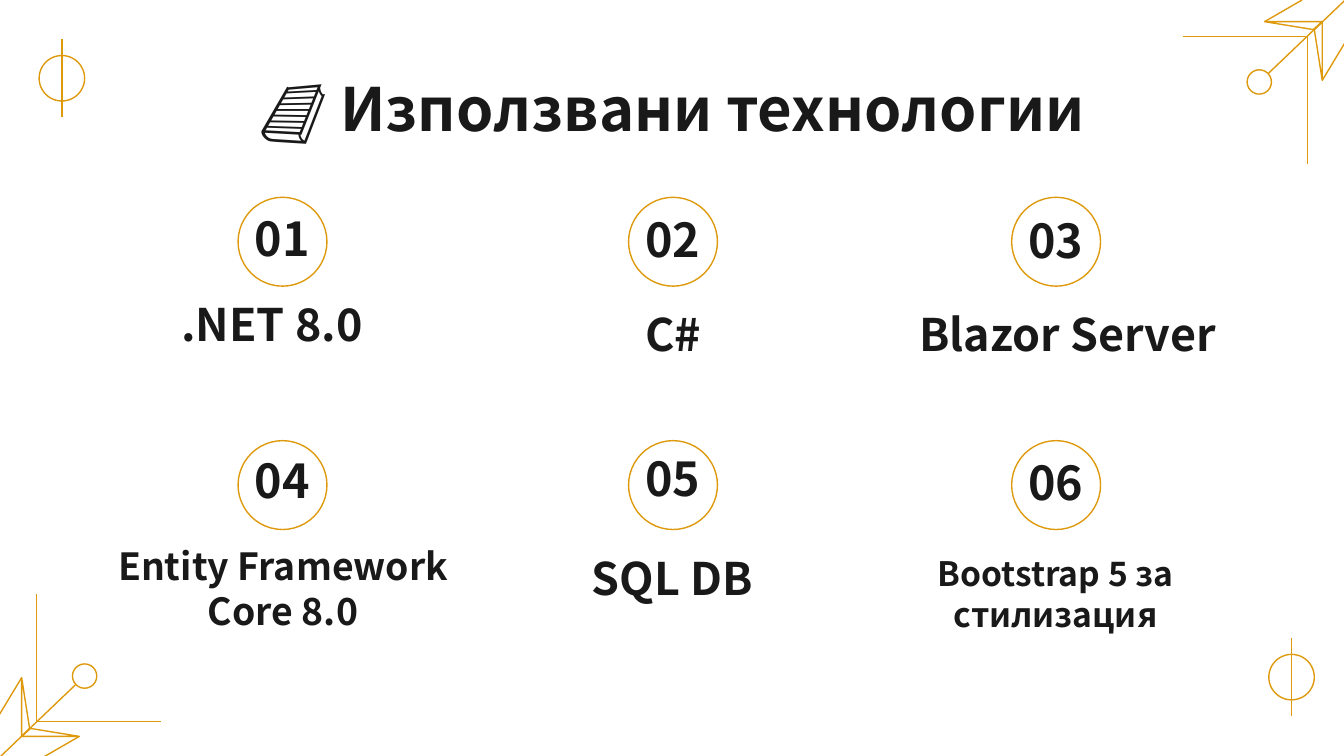
from dataclasses import dataclass

from lxml.etree import SubElement
from pptx import Presentation
from pptx.dml.color import RGBColor
from pptx.enum.shapes import MSO_CONNECTOR as Connector, MSO_SHAPE as Shape
from pptx.enum.text import MSO_ANCHOR as Anchor, PP_ALIGN as Align
from pptx.oxml.ns import qn
from pptx.util import Cm, Pt

COLORS = {"paper": "FFFFFF", "gold": "DE990C", "ink": "191919"}
FONT = "Noto Sans CJK SC"
WIDTH, HEIGHT = 25.4, 14.29
CIRCLE = 1.68
COLUMNS = (4.5, 11.88, 19.12)
ROWS = (3.73, 8.33)


@dataclass
class Technology:
    name: str
    left: float
    top: float
    number_top: float
    size: int = 24
    hanging: bool = False


TECHNOLOGIES = (
    Technology(".NET 8.0", 1.7, 5.54, 3.94),
    Technology("C#", 9.09, 5.74, 3.96, hanging=True),
    Technology("Blazor Server", 16.54, 5.74, 3.99, hanging=True),
    Technology("Entity Framework Core 8.0", 1.91, 10.54, 8.53, size=20),
    Technology("SQL DB", 9.27, 10.34, 8.48),
    Technology("Bootstrap 5 за стилизaция", 16.51, 10.65, 8.56, size=18),
)


def color(name):
    return RGBColor.from_string(COLORS[name])


class Painter:
    """Draws on one slide in the deck's style; all lengths are centimetres."""

    def __init__(self, slide):
        self.slide = slide
        self.shapes = slide.shapes
        slide.background.fill.solid()
        slide.background.fill.fore_color.rgb = color("paper")

    def outline(self, shape):
        shape.line.color.rgb = color("gold")
        shape.line.width = Pt(0.75)

    def circle(self, left, top, size, filled=True):
        circle = self.shapes.add_shape(
            Shape.OVAL, Cm(left), Cm(top), Cm(size), Cm(size))
        circle.shadow.inherit = False
        if filled:
            circle.fill.solid()
            circle.fill.fore_color.rgb = color("paper")
        else:
            circle.fill.background()
        self.outline(circle)

    def line(self, start, end):
        ends = [Cm(value) for value in (*start, *end)]
        line = self.shapes.add_connector(Connector.STRAIGHT, *ends)
        self.outline(line)
        SubElement(line._element.spPr, qn("a:effectLst"))

    def outline_path(self, points, close):
        start, *rest = [(Cm(x), Cm(y)) for x, y in points]
        builder = self.shapes.build_freeform(*start)
        builder.add_line_segments(rest, close=close)
        shape = builder.convert_to_shape()
        shape.shadow.inherit = False
        shape.fill.background()
        self.outline(shape)

    def text(self, text, left, top, width, height, size,
             inset_top=0.25, hanging=False):
        box = self.shapes.add_textbox(Cm(left), Cm(top), Cm(width), Cm(height))
        frame = box.text_frame
        frame.word_wrap = True
        frame.vertical_anchor = Anchor.MIDDLE
        frame.margin_left = frame.margin_right = frame.margin_bottom = Cm(0.25)
        frame.margin_top = Cm(inset_top)
        frame.text = text
        para = frame.paragraphs[0]
        para.alignment = Align.CENTER
        if hanging:
            properties = para._p.get_or_add_pPr()
            properties.set("marL", str(Cm(1.27)))
            properties.set("indent", str(Cm(-0.88)))
        font = para.runs[0].font
        font.name, font.size, font.bold = FONT, Pt(size), True
        font.color.rgb = color("ink")

    def crossed_circle(self, x, y):
        """Circle centred on x, y with a vertical line through it."""
        self.circle(x - 0.43, y - 0.43, 0.86, filled=False)
        self.line((x, y - 0.74), (x, y + 0.74))

    def corner_arrow(self, turned=False):
        """Top right ornament, or the same turned to the bottom left."""
        def place(*points):
            if turned:
                return [(WIDTH - x, HEIGHT + 0.04 - y) for x, y in points]
            return points

        tip, left_barb, lower_barb = (24.99, 0.41), (23.9, 0.41), (24.99, 1.52)
        for start, end in (((22.35, 0.69), (24.69, 0.69)),
                           ((24.71, 0.69), (24.71, 3.1)),
                           ((23.8, 1.55), (25.58, -0.15))):
            self.line(*place(start, end))
        ((x, y),) = place((23.8, 1.55))
        self.circle(x - 0.23, y - 0.23, 0.46)
        for barb, notch, tail in ((left_barb, (24.82, 0.56), (24.61, 0)),
                                  (lower_barb, (24.84, 0.56), (25.43, 0.79))):
            self.outline_path(place(tip, barb, notch), close=True)
            self.outline_path(place(barb, tail), close=False)


def main():
    deck = Presentation()
    deck.slide_width, deck.slide_height = Cm(WIDTH), Cm(HEIGHT)
    painter = Painter(deck.slides.add_slide(deck.slide_layouts[6]))

    painter.crossed_circle(24.41, 12.8)
    painter.crossed_circle(1.17, 1.48)
    painter.corner_arrow()
    painter.corner_arrow(turned=True)

    painter.text("📘 Използвани технологии", 2.01, 1.24, 21.41, 1.6, 32)
    for index, item in enumerate(TECHNOLOGIES):
        row, column = divmod(index, len(COLUMNS))
        left = COLUMNS[column]
        painter.circle(left, ROWS[row], CIRCLE)
        painter.text(f"{index + 1:02}", left - 0.32, item.number_top,
                     2.31, 1.35, 25, inset_top=0)
        painter.text(item.name, item.left, item.top, 6.88, 1.14, item.size,
                     hanging=item.hanging)

    deck.save("out.pptx")


if __name__ == "__main__":
    main()
